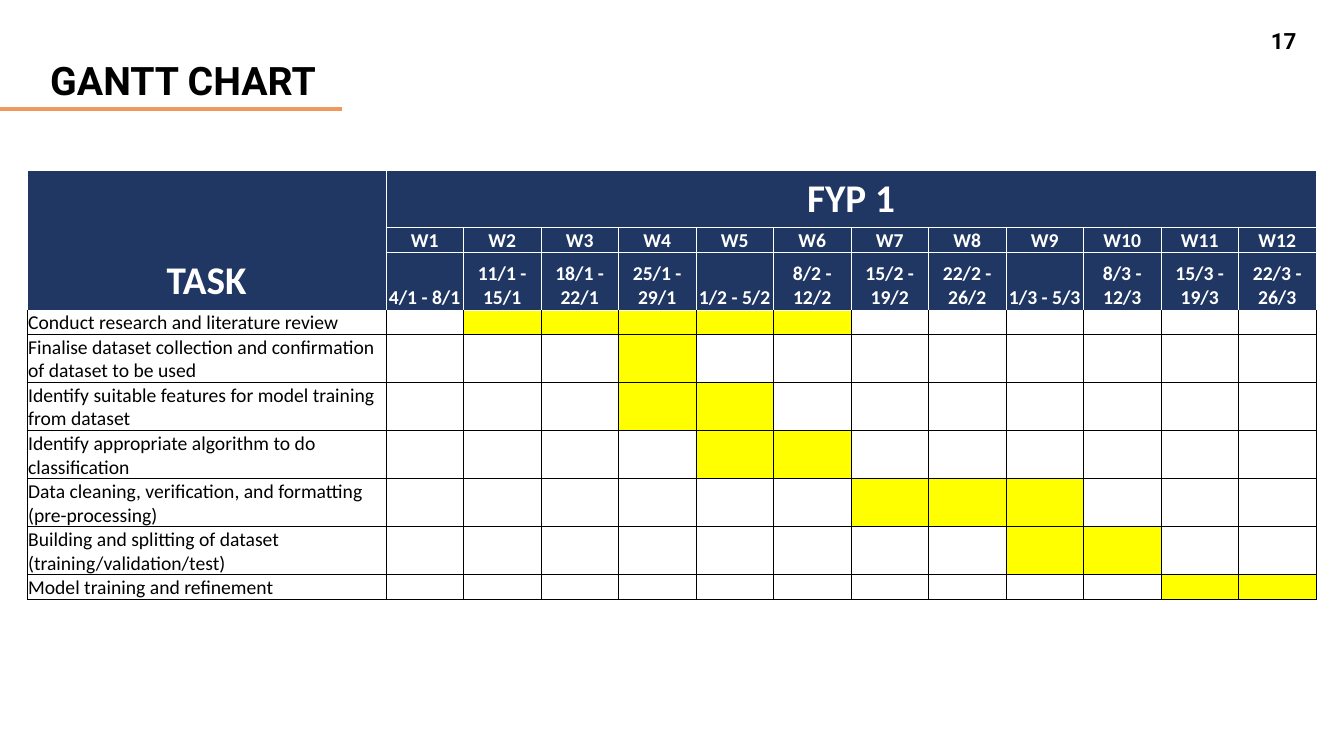
from lxml.etree import SubElement
from pptx import Presentation
from pptx.dml.color import RGBColor
from pptx.enum.shapes import MSO_CONNECTOR
from pptx.enum.text import MSO_ANCHOR as Anchor, MSO_AUTO_SIZE as AutoSize, PP_ALIGN as Align
from pptx.oxml.ns import qn
from pptx.util import Pt

COLORS = {
    "black": "000000",
    "white": "FFFFFF",
    "navy": "203764",
    "yellow": "FFFF00",
    "orange": "F1985B",
}
TITLE = "GANTT CHART"
PAGE_NUMBER = "17"
TASK_HEADING = "TASK"
PHASE = "FYP 1"
WEEK_DATES = [
    "4/1 - 8/1", "11/1 - 15/1", "18/1 - 22/1", "25/1 - 29/1",
    "1/2 - 5/2", "8/2 - 12/2", "15/2 - 19/2", "22/2 - 26/2",
    "1/3 - 5/3", "8/3 - 12/3", "15/3 - 19/3", "22/3 - 26/3",
]
# Task, first week, last week
TASKS = [
    ("Conduct research and literature review", 2, 6),
    ("Finalise dataset collection and confirmation of dataset to be used", 4, 4),
    ("Identify suitable features for model training from dataset", 4, 5),
    ("Identify appropriate algorithm to do classification", 5, 6),
    ("Data cleaning, verification, and formatting (pre-processing)", 7, 9),
    ("Building and splitting of dataset (training/validation/test)", 9, 10),
    ("Model training and refinement", 11, 12),
]
HEADER_HEIGHTS = [41, 17.75, 41]
ONE_LINE, TWO_LINES = 17.25, 34.25
LINE_LIMIT = 40
TASK_WIDTH, WEEK_WIDTH = 256.3, 55.38
TABLE_LEFT, TABLE_TOP = 19.4, 121.7
WIDE_INSETS = (7.2, 3.6, 7.2, 3.6)
TIGHT_INSETS = (0.7, 0.7, 0.7, 0)


def rgb(name):
    return RGBColor.from_string(COLORS[name])


def write(frame, text, size, font, color, bold, align):
    para = frame.paragraphs[0]
    para.alignment = align
    span = para.add_run()
    span.text = text
    span.font.size = Pt(size)
    span.font.name = font
    span.font.bold = bold
    span.font.color.rgb = rgb(color)


def add_label(page, bounds, text, size, align, anchor):
    box = page.shapes.add_textbox(*(Pt(value) for value in bounds))
    frame = box.text_frame
    frame.word_wrap = True
    frame.vertical_anchor = anchor
    write(frame, text, size, "Roboto", "black", True, align)
    return frame


def style_cell(cell, fill, border, top_border, insets=TIGHT_INSETS):
    """Set borders before the fill, as the cell properties require."""
    cell.margin_left, cell.margin_top, cell.margin_right, cell.margin_bottom = map(Pt, insets)
    cell.vertical_anchor = Anchor.BOTTOM
    properties = cell._tc.get_or_add_tcPr()
    for side in ("lnL", "lnR", "lnT", "lnB"):
        line = SubElement(properties, qn(f"a:{side}"), w=str(Pt(0.5)))
        solid = SubElement(line, qn("a:solidFill"))
        color = top_border if side == "lnT" else border
        SubElement(solid, qn("a:srgbClr"), val=COLORS[color])
    if fill:
        cell.fill.solid()
        cell.fill.fore_color.rgb = rgb(fill)
    else:
        cell.fill.background()


def shrink_empty(cell):
    """Keep an empty cell from stretching its row."""
    SubElement(cell.text_frame.paragraphs[0]._p, qn("a:endParaRPr"), sz="1000")


def header_text(row, column):
    if column == 0:
        return TASK_HEADING if row == 0 else ""
    if row == 0:
        return PHASE if column == 1 else ""
    return f"W{column}" if row == 1 else WEEK_DATES[column - 1]


def fill_header(table):
    for row in range(len(HEADER_HEIGHTS)):
        for column in range(len(WEEK_DATES) + 1):
            cell = table.cell(row, column)
            large = row == 0 or column == 0
            style_cell(cell, "navy", "white", "white", WIDE_INSETS if large else TIGHT_INSETS)
            text = header_text(row, column)
            if text:
                write(cell.text_frame, text, 28 if large else 14, "Calibri", "white", True, Align.CENTER)
            else:
                shrink_empty(cell)
    table.cell(0, 0).merge(table.cell(len(HEADER_HEIGHTS) - 1, 0))
    table.cell(0, 1).merge(table.cell(0, len(WEEK_DATES)))


def fill_tasks(table):
    for row, (task, first, last) in enumerate(TASKS, len(HEADER_HEIGHTS)):
        top_border = "white" if row == len(HEADER_HEIGHTS) else "black"
        for week in range(len(WEEK_DATES) + 1):
            cell = table.cell(row, week)
            style_cell(cell, "yellow" if first <= week <= last else None, "black", top_border)
            if week == 0:
                write(cell.text_frame, task, 14, "Calibri", "black", False, Align.LEFT)
            else:
                shrink_empty(cell)


def add_schedule(page):
    widths = [TASK_WIDTH] + [WEEK_WIDTH] * len(WEEK_DATES)
    heights = HEADER_HEIGHTS + [
        TWO_LINES if len(task) > LINE_LIMIT else ONE_LINE for task, _, _ in TASKS
    ]
    table = page.shapes.add_table(
        len(heights), len(widths), Pt(TABLE_LEFT), Pt(TABLE_TOP), Pt(sum(widths)), Pt(sum(heights))
    ).table
    table.first_row = False
    table.horz_banding = False
    for column, width in zip(table.columns, widths):
        column.width = Pt(width)
    for row, height in zip(table.rows, heights):
        row.height = Pt(height)
    fill_header(table)
    fill_tasks(table)


def main():
    deck = Presentation()
    deck.slide_width, deck.slide_height = Pt(960), Pt(540)
    page = deck.slides.add_slide(deck.slide_layouts[6])

    title = add_label(page, (28.8, 36.7, 229.7, 41), TITLE, 28, Align.LEFT, Anchor.TOP)
    title.auto_size = AutoSize.SHAPE_TO_FIT_TEXT

    underline = page.shapes.add_connector(MSO_CONNECTOR.STRAIGHT, Pt(0), Pt(77.8), Pt(244), Pt(77.8))
    underline.line.color.rgb = rgb("orange")
    underline.line.width = Pt(3)
    SubElement(underline._element.spPr, qn("a:effectLst"))

    add_schedule(page)
    add_label(page, (717.1, 14.4, 216, 28.8), PAGE_NUMBER, 16, Align.RIGHT, Anchor.MIDDLE)
    deck.save("out.pptx")


if __name__ == "__main__":
    main()
